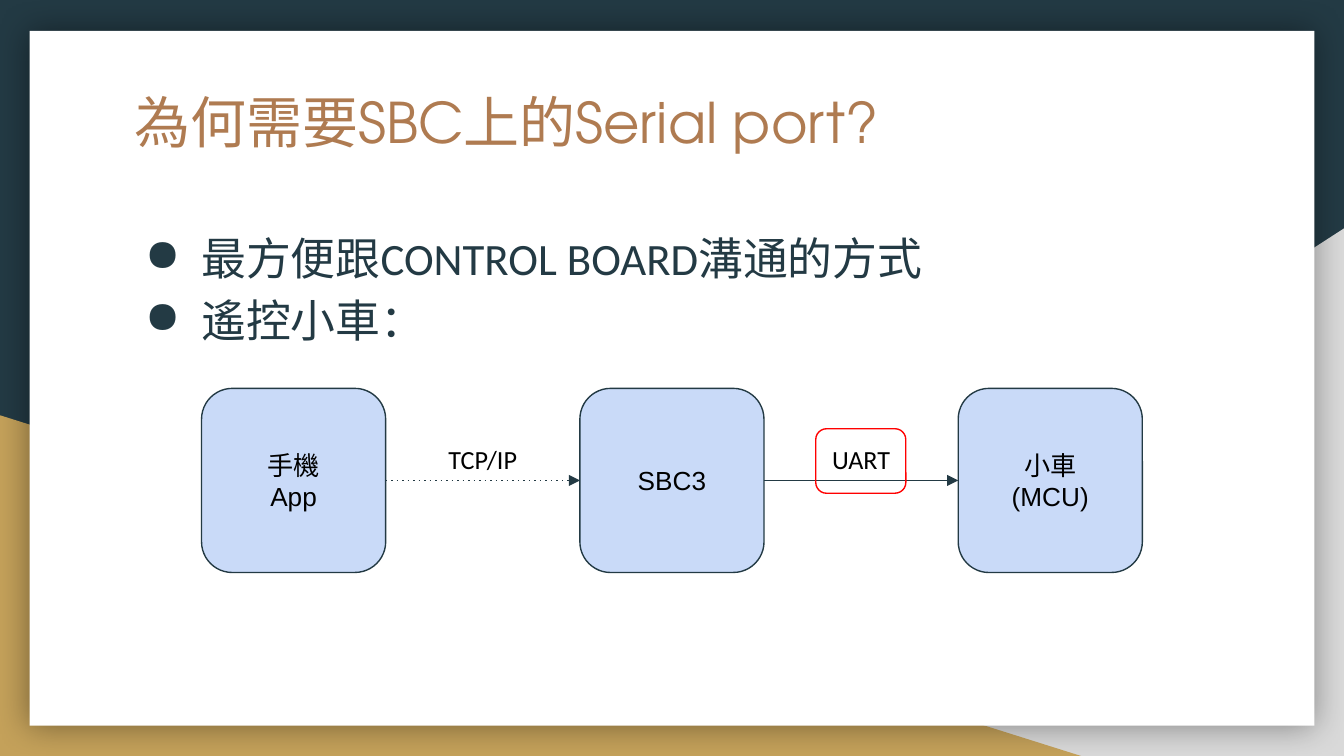
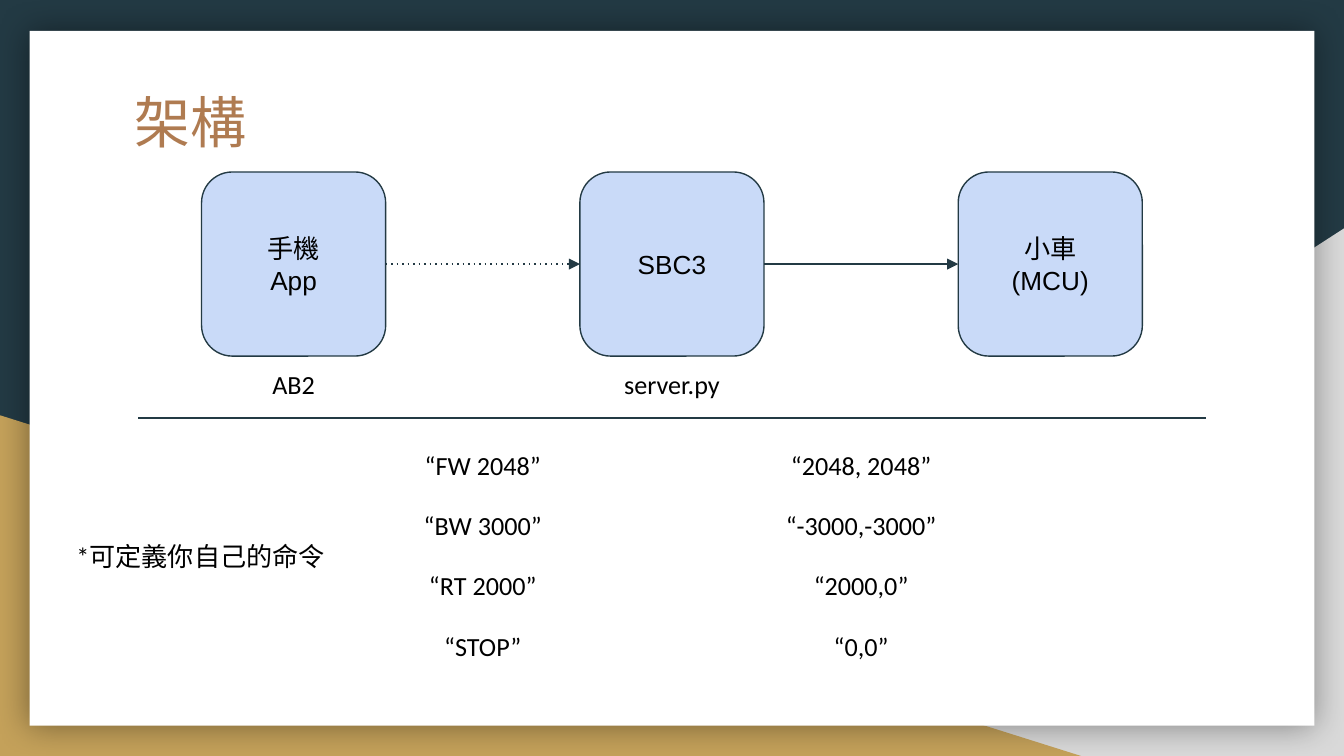
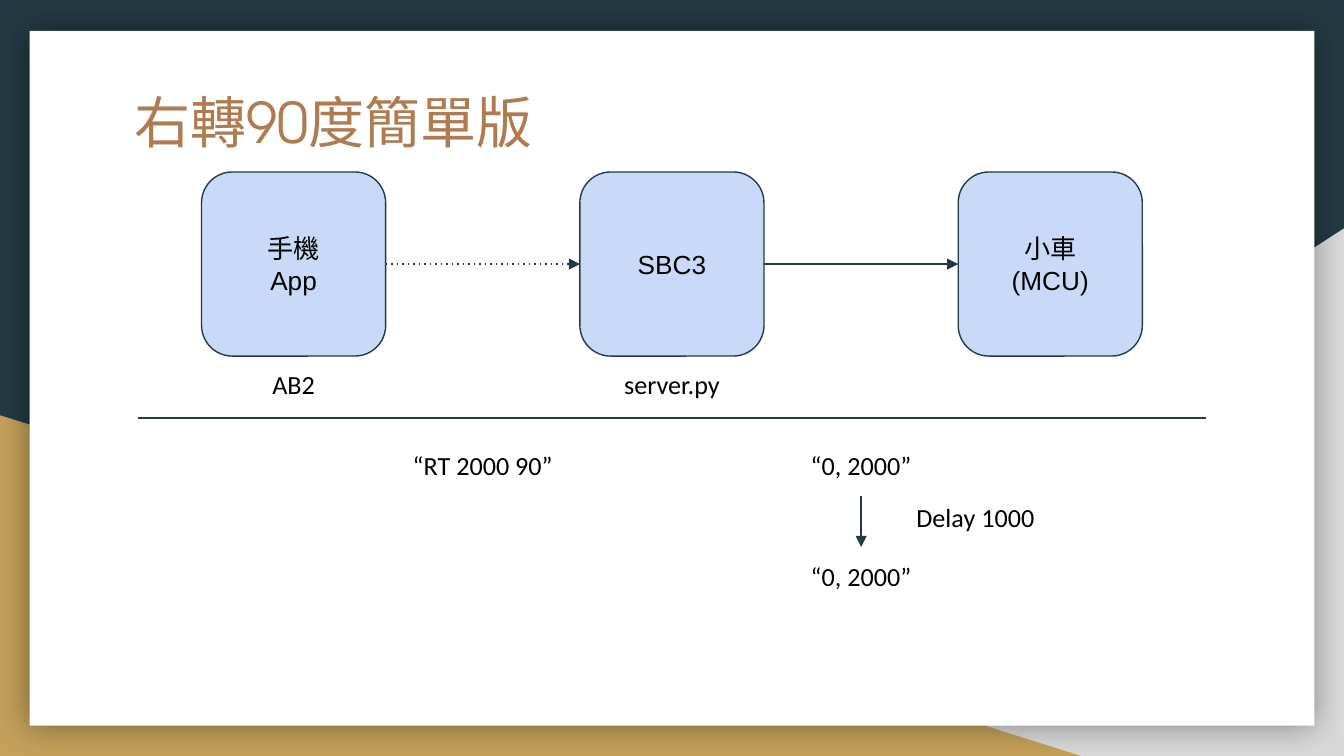
from dataclasses import dataclass
from typing import Any, Optional

from pptx import Presentation
from pptx.dml.color import RGBColor
from pptx.enum.shapes import MSO_CONNECTOR, MSO_SHAPE
from pptx.enum.text import MSO_ANCHOR, PP_ALIGN
from pptx.oxml import parse_xml
from pptx.oxml.ns import nsdecls
from pptx.util import Inches, Pt

RECT, ROUND_RECT = MSO_SHAPE.RECTANGLE, MSO_SHAPE.ROUNDED_RECTANGLE
TRIANGLE = MSO_SHAPE.RIGHT_TRIANGLE
STRAIGHT = MSO_CONNECTOR.STRAIGHT
LEFT, CENTER = PP_ALIGN.LEFT, PP_ALIGN.CENTER
TOP, MIDDLE = MSO_ANCHOR.TOP, MSO_ANCHOR.MIDDLE
SITE_TOP, SITE_LEFT, SITE_BOTTOM, SITE_RIGHT = range(4)

COLORS = {
    "dark": "233A44", "gray": "D9D9D9", "gold": "C4A15A", "white": "FFFFFF",
    "title": "AF7B51", "node": "C9DAF8", "black": "000000", "red": "FF0000",
}
FRAME = {f"margin_{side}": Inches(0.1) for side in ("left", "top", "right", "bottom")}


@dataclass(frozen=True)
class Style:
    font: str
    size: float
    color: str


TITLE = Style("TeX Gyre Adventor", 30, "title")
BODY = Style("Calibri", 24, "dark")
LABEL = Style("Calibri", 14, "black")
NODE = Style("Arial", 14, "black")


@dataclass(frozen=True)
class Label:
    text: str
    left: float
    top: float
    width: float
    height: float
    align: Any = CENTER
    style: Style = LABEL


# Flow diagram: three equally spaced nodes
NODES = ("手機\nApp", "SBC3", "小車\n(MCU)")
NODE_SIZE, NODE_LEFT, NODE_STEP = 1.37, 1.5, 2.815
LINK_CENTERS = [NODE_LEFT + NODE_SIZE / 2 + NODE_STEP * (i + 0.5) for i in range(2)]
ROW_TOP, ROW_HEIGHT = 3.24, 0.45
WIDE, NARROW = 1.55, 1.26


def rgb(name: str) -> RGBColor:
    return RGBColor.from_string(COLORS[name])


def set_format(obj: Any, values: dict) -> None:
    for name, value in values.items():
        setattr(obj, name, value)


def set_text(sp: Any, text: str, style: Style, align: Any = LEFT, anchor: Any = TOP) -> Any:
    tf = sp.text_frame
    set_format(tf, {**FRAME, "word_wrap": True, "vertical_anchor": anchor})
    for i, line in enumerate(text.split("\n")):
        p = tf.paragraphs[0] if i == 0 else tf.add_paragraph()
        p.alignment = align
        r = p.add_run()
        r.text = line
        set_format(r.font, {"name": style.font, "size": Pt(style.size)})
        r.font.color.rgb = rgb(style.color)
    return tf


def add_label(s: Any, label: Label) -> Any:
    sp = s.shapes.add_textbox(*map(Inches, (label.left, label.top, label.width, label.height)))
    set_text(sp, label.text, label.style, label.align)
    return sp


def centered(text: str, center: float, top: float, width: float, height: float) -> Label:
    return Label(text, center - width / 2, top, width, height)


def add_box(s: Any, kind: Any, box: tuple, fill: Optional[str], line: Optional[str] = None) -> Any:
    sp = s.shapes.add_shape(kind, *map(Inches, box))
    sp.shadow.inherit = False
    if fill:
        sp.fill.solid()
        sp.fill.fore_color.rgb = rgb(fill)
    else:
        sp.fill.background()
    if line:
        sp.line.color.rgb = rgb(line)
        sp.line.width = Pt(0.75)
    else:
        sp.line.fill.background()
    return sp


def add_line(s: Any, ends: tuple = (0, 0, 0, 0), joins: Optional[tuple] = None,
             dotted: bool = False) -> None:
    """Draw a plain line, or an arrow from one joined shape to another."""
    cx = s.shapes.add_connector(STRAIGHT, *map(Inches, ends))
    cx.line.color.rgb = rgb("dark")
    cx.line.width = Pt(0.75)
    ln = cx.line._get_or_add_ln()
    if dotted:
        ln.append(parse_xml(f'<a:prstDash {nsdecls("a")} val="dot"/>'))
    if joins:
        start, start_site, end, end_site = joins
        cx.begin_connect(start, start_site)
        cx.end_connect(end, end_site)
        ln.append(parse_xml(f'<a:tailEnd {nsdecls("a")} type="triangle"/>'))
    cx._element.spPr.append(parse_xml(f'<a:effectLst {nsdecls("a")}/>'))


def add_slide(prs: Any, title: str) -> Any:
    s = prs.slides.add_slide(prs.slide_layouts[6])
    s.background.fill.solid()
    s.background.fill.fore_color.rgb = rgb("dark")
    # Corner triangles and white card
    corner = add_box(s, TRIANGLE, (3.92, 1.7, 6.08, 3.93), "gray")
    corner._element.spPr.xfrm.set("flipH", "1")
    add_box(s, TRIANGLE, (0, 3.09, 8.06, 2.54), "gold")
    card = add_box(s, RECT, (0.22, 0.23, 9.56, 5.17), "white")
    card._element.spPr.effectLst.append(parse_xml(
        f'<a:outerShdw {nsdecls("a")} blurRad="{Pt(18)}" dist="0" dir="0" algn="ctr" '
        f'rotWithShape="0"><a:srgbClr val="{COLORS["black"]}"><a:alpha val="40000"/>'
        '</a:srgbClr></a:outerShdw>'))
    add_label(s, Label(title, 0.9, 0.55, 8.21, 0.65, LEFT, TITLE))
    return s


def add_bullets(s: Any, text: str) -> None:
    sp = add_label(s, Label(text, 0.9, 1.56, 8.21, 1.07, LEFT, BODY))
    for p in sp.text_frame.paragraphs:
        p.line_spacing = 1.15
        pPr = p._p.get_or_add_pPr()
        pPr.set("marL", str(Inches(0.5)))
        pPr.set("indent", str(Inches(-0.42)))
        pPr.append(parse_xml(f'<a:buClr {nsdecls("a")}><a:srgbClr val="{COLORS["dark"]}"/></a:buClr>'))
        pPr.append(parse_xml(f'<a:buChar {nsdecls("a")} char="●"/>'))


def add_flow(s: Any, top: float) -> None:
    nodes = []
    for i, text in enumerate(NODES):
        box = (NODE_LEFT + i * NODE_STEP, top, NODE_SIZE, NODE_SIZE)
        sp = add_box(s, ROUND_RECT, box, "node", "dark")
        set_text(sp, text, NODE, CENTER, MIDDLE)
        nodes.append(sp)
    for i, (start, end) in enumerate(zip(nodes, nodes[1:])):
        add_line(s, joins=(start, SITE_RIGHT, end, SITE_LEFT), dotted=i == 0)


def add_program_flow(s: Any) -> None:
    """Flow with the program of each node, above a divider."""
    add_flow(s, 1.28)
    for i, text in enumerate(("AB2", "server.py")):
        center = NODE_LEFT + NODE_SIZE / 2 + i * NODE_STEP
        add_label(s, centered(text, center, 2.64, 0.99, 0.54))
    add_line(s, (1.03, 3.11, 8.97, 3.11))


def build_reason(prs: Any) -> None:
    s = add_slide(prs, "為何需要SBC上的Serial port?")
    add_bullets(s, "最方便跟CONTROL BOARD溝通的方式\n遙控小車：")
    add_flow(s, 2.89)
    for text, center in zip(("TCP/IP", "UART"), LINK_CENTERS):
        add_label(s, centered(text, center, 3.2, 0.97, 0.28))
    add_box(s, ROUND_RECT, (6.07, 3.19, 0.67, 0.48), None, "red")


def build_architecture(prs: Any) -> None:
    s = add_slide(prs, "架構")
    add_program_flow(s)
    commands = (
        ("“FW 2048”", "“2048, 2048”"),
        ("“BW 3000”", "“-3000,-3000”"),
        ("“RT 2000”", "“2000,0”"),
        ("“STOP”", "“0,0”"),
    )
    for row, pair in enumerate(commands):
        for text, center in zip(pair, LINK_CENTERS):
            add_label(s, centered(text, center, ROW_TOP + row * ROW_HEIGHT, WIDE, ROW_HEIGHT))
    add_label(s, Label("*可定義你自己的命令", 0.47, 3.92, 2.07, 0.4, LEFT))


def build_right_turn(prs: Any) -> None:
    s = add_slide(prs, "右轉90度簡單版")
    add_program_flow(s)
    command_x, motor_x = LINK_CENTERS
    add_label(s, centered("“RT 2000 90”", command_x, ROW_TOP, WIDE, ROW_HEIGHT))
    first, second = [add_label(s, centered("“0, 2000”", motor_x, top, NARROW, ROW_HEIGHT))
                     for top in (ROW_TOP, 4.07)]
    add_line(s, joins=(first, SITE_BOTTOM, second, SITE_TOP))
    add_label(s, Label("Delay 1000", 6.72, 3.63, 1.13, 0.38, LEFT))


def main() -> None:
    prs = Presentation()
    set_format(prs, {"slide_width": Inches(10), "slide_height": Inches(5.625)})
    for build in (build_reason, build_architecture, build_right_turn):
        build(prs)
    prs.save("out.pptx")


if __name__ == "__main__":
    main()
